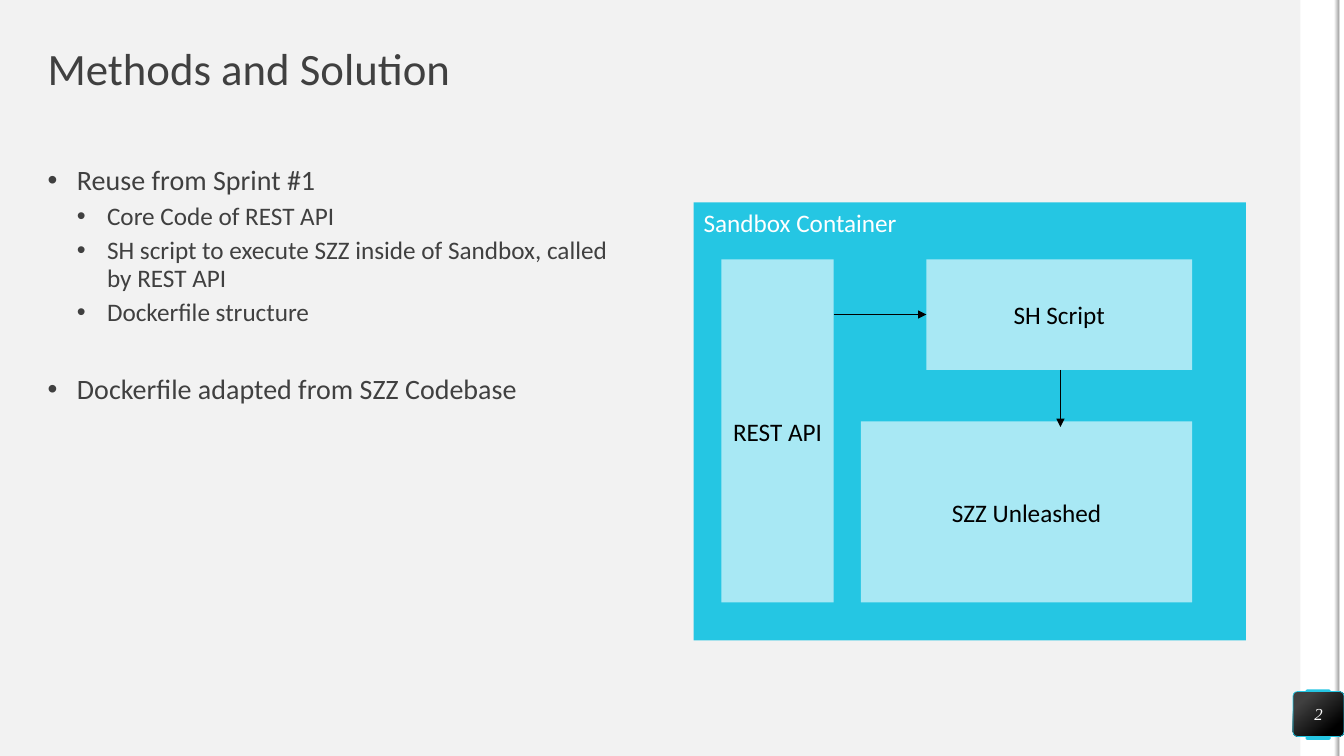
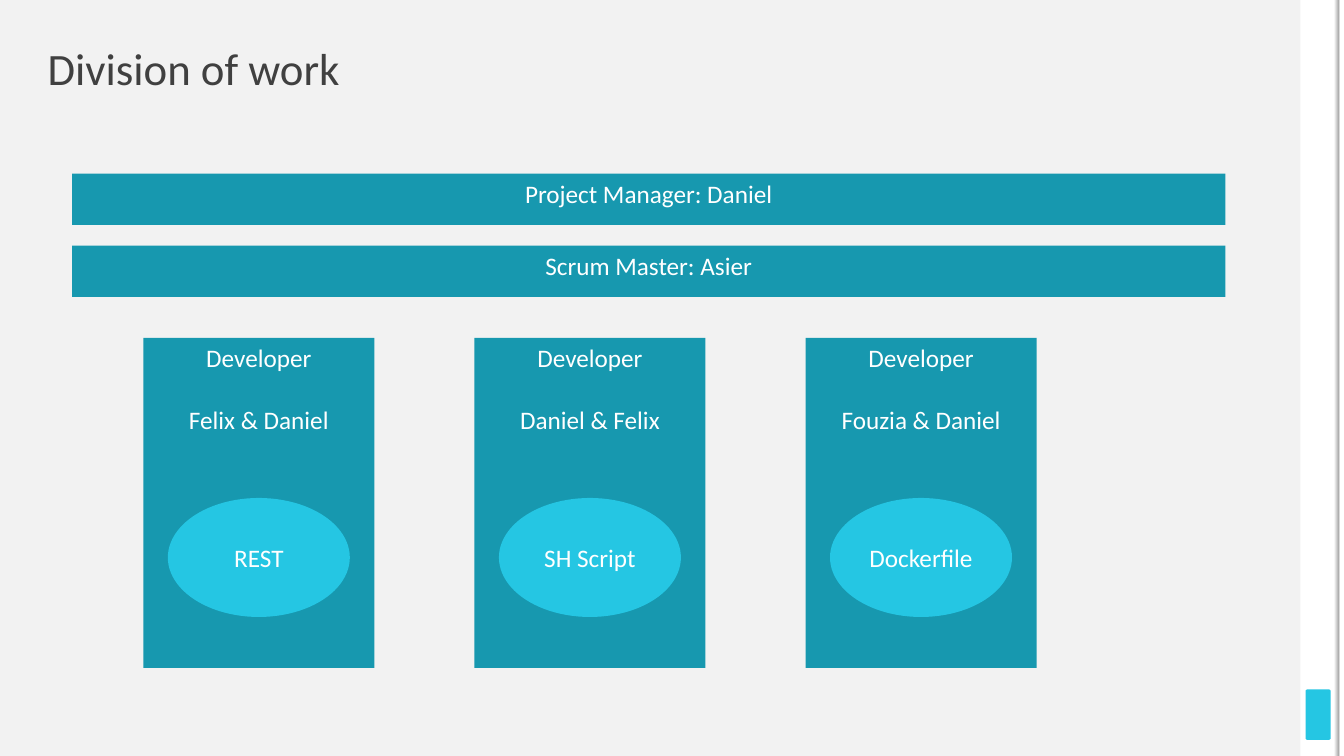
from lxml.etree import SubElement
from pptx import Presentation
from pptx.dml.color import RGBColor
from pptx.enum.shapes import MSO_CONNECTOR, MSO_SHAPE
from pptx.enum.text import MSO_ANCHOR, PP_ALIGN
from pptx.oxml.ns import qn
from pptx.util import Pt

PAPER = RGBColor(0xF2, 0xF2, 0xF2)
WHITE = RGBColor(0xFF, 0xFF, 0xFF)
BLACK = RGBColor(0x00, 0x00, 0x00)
INK = RGBColor(0x40, 0x40, 0x40)
SHADE = RGBColor(0xA6, 0xA6, 0xA6)
CYAN = RGBColor(0x25, 0xC6, 0xE3)
PALE_CYAN = RGBColor(0xA8, 0xE8, 0xF4)
TEAL = RGBColor(0x17, 0x98, 0xAF)

LABEL = {"name": "Calibri", "size": Pt(18), "color": WHITE}
DARK_LABEL = {**LABEL, "color": BLACK}
TITLE = {**LABEL, "size": Pt(32), "color": INK}
BULLETS = [
    {"size": Pt(20), "color": INK, "margin": 21, "hanging": 21, "before": 10},
    {"size": Pt(18), "color": INK, "margin": 42.5, "hanging": 21.5, "before": 5},
]
NUMBER = {"name": "Times New Roman", "size": Pt(12), "color": WHITE, "italic": True}


class SlideBuilder:
    def __init__(self, width, height):
        self.deck = Presentation()
        self.deck.slide_width, self.deck.slide_height = Pt(width), Pt(height)
        self.height = height
        background = self.deck.slide_master.background.fill
        background.solid()
        background.fore_color.rgb = PAPER

    def new_page(self, title):
        self.page = self.deck.slides.add_slide(self.deck.slide_layouts[6])
        self.shapes = self.page.shapes
        self.box(928.8, 0, 28, self.height, WHITE)
        self.box(932.5, 492.5, 18, 36, CYAN, MSO_SHAPE.ROUNDED_RECTANGLE, 0.07)
        self.box(956.5, 0, 3.5, self.height, WHITE)
        edge = self.box(952.9, 0, 3.6, self.height, WHITE)
        self.gradient(edge, [(0, WHITE), (1, SHADE)], 0)
        frame = self.text_area(34, 34, 892, 34, MSO_ANCHOR.MIDDLE)
        para = self.add_text(frame.paragraphs[0], title, TITLE)
        para.line_spacing = 0.9

    def start_group(self):
        self.shapes = self.page.shapes.add_group_shape().shapes

    def add_text(self, para, text, style):
        span = para.add_run()
        span.text = text
        for key, value in style.items():
            if key == "color":
                span.font.color.rgb = value
            else:
                setattr(span.font, key, value)
        return para

    def box(self, left, top, width, height, fill, kind=MSO_SHAPE.RECTANGLE, corner=None):
        shape = self.shapes.add_shape(kind, Pt(left), Pt(top), Pt(width), Pt(height))
        shape.shadow.inherit = False
        shape.fill.solid()
        shape.fill.fore_color.rgb = fill
        shape.line.fill.background()
        if corner is not None:
            shape.adjustments[0] = corner
        return shape

    def gradient(self, shape, stops, angle):
        shape.fill.gradient()
        shape.fill.gradient_angle = angle
        for stop, (position, color) in zip(shape.fill.gradient_stops, stops):
            stop.position = position
            stop.color.rgb = color

    def label(self, shape, lines, style=LABEL, anchor=MSO_ANCHOR.MIDDLE,
              align=PP_ALIGN.CENTER, gap=0):
        frame = shape.text_frame
        frame.word_wrap = True
        frame.vertical_anchor = anchor
        for index, line in enumerate(lines):
            para = frame.add_paragraph() if index else frame.paragraphs[0]
            para.alignment = align
            para.space_before = Pt(gap if index else 0)
            self.add_text(para, line, style)

    def clear_margins(self, frame):
        for side in ("left", "top", "right", "bottom"):
            setattr(frame, f"margin_{side}", 0)

    def text_area(self, left, top, width, height, anchor=MSO_ANCHOR.TOP):
        area = self.shapes.add_textbox(Pt(left), Pt(top), Pt(width), Pt(height))
        frame = area.text_frame
        frame.word_wrap = True
        frame.vertical_anchor = anchor
        self.clear_margins(frame)
        return frame

    def bullets(self, left, top, width, height, items):
        frame = self.text_area(left, top, width, height)
        for index, (level, text, extra) in enumerate(items):
            look = BULLETS[level]
            para = frame.add_paragraph() if index else frame.paragraphs[0]
            para.level = level
            para.line_spacing = 0.9
            para.space_before = Pt(look["before"] + extra)
            properties = para._p.get_or_add_pPr()
            properties.set("marL", str(Pt(look["margin"])))
            properties.set("indent", str(-Pt(look["hanging"])))
            SubElement(properties, qn("a:buFont"), typeface="Arial")
            SubElement(properties, qn("a:buChar"), char="•")
            font = {key: look[key] for key in ("size", "color")}
            self.add_text(para, text, {**LABEL, **font})

    def arrow(self, *ends):
        connector = self.shapes.add_connector(MSO_CONNECTOR.STRAIGHT, *map(Pt, ends))
        connector.line.color.rgb = BLACK
        connector.line.width = Pt(0.5)
        properties = connector._element.spPr
        SubElement(properties.find(qn("a:ln")), qn("a:tailEnd"), type="triangle")
        SubElement(properties, qn("a:effectLst"))

    def page_number(self, text):
        badge = self.box(923.6, 494, 36.4, 32, BLACK, MSO_SHAPE.ROUNDED_RECTANGLE, 0.1)
        self.gradient(badge, [(0.2, INK), (0.82, BLACK)], 310)
        badge.line.color.rgb = CYAN
        badge.line.width = Pt(0.5)
        self.clear_margins(badge.text_frame)
        self.label(badge, [text], NUMBER)


builder = SlideBuilder(960, 540)

builder.new_page("Methods and Solution")
builder.bullets(34, 119, 400, 369, [
    (0, "Reuse from Sprint #1", 0),
    (1, "Core Code of REST API", 0),
    (1, "SH script to execute SZZ inside of Sandbox, called by REST API", 0),
    (1, "Dockerfile structure", 0),
    (0, "Dockerfile adapted from SZZ Codebase", 25),
])
builder.page_number("2")
builder.start_group()
container = builder.box(495.5, 144.5, 394.5, 313, CYAN)
builder.label(container, ["Sandbox Container"], anchor=MSO_ANCHOR.TOP, align=PP_ALIGN.LEFT)
for name, *place in [
    ("REST API", 515.3, 185.3, 80.2, 245),
    ("SH Script", 661.7, 185.3, 189.8, 79),
    ("SZZ Unleashed", 615, 301, 236.5, 129.3),
]:
    builder.label(builder.box(*place, PALE_CYAN), [name], DARK_LABEL)
builder.arrow(595.5, 224.7, 661.7, 224.7)
builder.arrow(757.5, 264.3, 757.5, 305)

builder.new_page("Division of work")
for row, role in enumerate(["Project Manager: Daniel", "Scrum Master: Asier"]):
    bar = builder.box(51.5, 124 + 51.4 * row, 823.8, 36.7, TEAL)
    builder.label(bar, [role], anchor=MSO_ANCHOR.TOP)
for column, (people, task) in enumerate([
    ("Felix & Daniel", "REST"),
    ("Daniel & Felix", "SH Script"),
    ("Fouzia & Daniel", "Dockerfile"),
]):
    left = 102.4 + 236.5 * column
    card = builder.box(left, 241.3, 165, 235.8, TEAL)
    builder.label(card, ["Developer", people], anchor=MSO_ANCHOR.TOP, gap=22)
    oval = builder.box(left + 17.5, 355.7, 130, 85, CYAN, MSO_SHAPE.OVAL)
    builder.label(oval, [task])

builder.deck.save("out.pptx")
